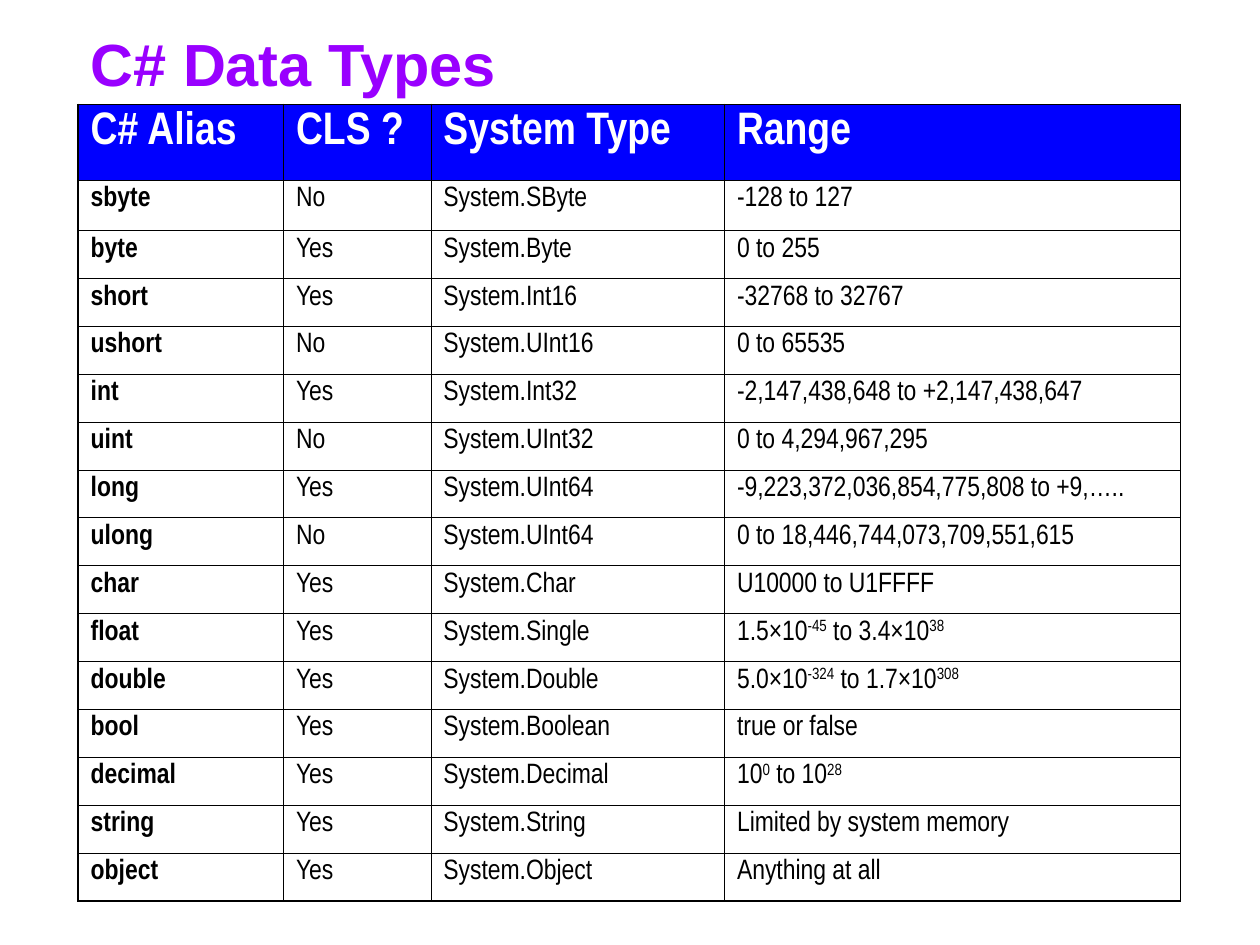
from pptx import Presentation
from pptx.dml.color import RGBColor
from pptx.enum.text import MSO_ANCHOR, MSO_AUTO_SIZE, PP_ALIGN
from pptx.oxml.ns import qn
from pptx.util import Inches, Pt
from lxml import etree

BOTTOM, LEFT, NO_FIT = MSO_ANCHOR.BOTTOM, PP_ALIGN.LEFT, MSO_AUTO_SIZE.NONE

# Content: text between carets is superscript
TITLE = "C# Data Types"
HEADER = ("C# Alias", "CLS ?", "System Type", "Range")
DATA_TYPES = [
    ("sbyte", "No", "System.SByte", "-128 to 127"),
    ("byte", "Yes", "System.Byte", "0 to 255"),
    ("short", "Yes", "System.Int16", "-32768 to 32767"),
    ("ushort", "No", "System.UInt16", "0 to 65535"),
    ("int", "Yes", "System.Int32", "-2,147,438,648 to +2,147,438,647"),
    ("uint", "No", "System.UInt32", "0 to 4,294,967,295"),
    ("long", "Yes", "System.UInt64", "-9,223,372,036,854,775,808 to +9,….."),
    ("ulong", "No", "System.UInt64", "0 to 18,446,744,073,709,551,615"),
    ("char", "Yes", "System.Char", "U10000 to U1FFFF"),
    ("float", "Yes", "System.Single", "1.5×10^-45^ to 3.4×10^38"),
    ("double", "Yes", "System.Double", "5.0×10^-324^ to 1.7×10^308"),
    ("bool", "Yes", "System.Boolean", "true or false"),
    ("decimal", "Yes", "System.Decimal", "10^0^ to 10^28"),
    ("string", "Yes", "System.String", "Limited by system memory"),
    ("object", "Yes", "System.Object", "Anything at all"),
]

# Layout in inches
MARGIN, TABLE_TOP, TITLE_HEIGHT = 0.62, 0.83, 0.5
COLUMN_WIDTHS = (1.63, 1.17, 2.33, 3.62)
ROW_HEIGHTS = [0.6, 0.4] + [0.38] * (len(DATA_TYPES) - 1)
THICK, THIN = 1.08, 0.45
PURPLE, BLUE, WHITE, BLACK = "9900FF", "0000FF", "FFFFFF", "000000"


def color(hex_string):
    return RGBColor.from_string(hex_string)


def style_font(font, name, size, hex_string, bold):
    font.name, font.size, font.bold = name, Pt(size), bold
    font.color.rgb = color(hex_string)


def set_borders(cell, widths):
    properties = cell._tc.get_or_add_tcPr()
    for index, (side, width) in enumerate(widths.items()):
        line = etree.Element(qn(f"a:{side}"), w=str(Pt(width)))
        fill = etree.SubElement(line, qn("a:solidFill"))
        etree.SubElement(fill, qn("a:srgbClr"), val=BLACK)
        properties.insert(index, line)


def write_cell(cell, text, size, hex_string, bold):
    paragraph = cell.text_frame.paragraphs[0]
    for index, part in enumerate(text.split("^")):
        run = paragraph.add_run()
        run.text = part
        style_font(run.font, "Arial Narrow", size, hex_string, bold)
        if index % 2:
            run.font._element.set("baseline", "30000")


presentation = Presentation()
presentation.slide_width, presentation.slide_height = Inches(10), Inches(7.5)
slide = presentation.slides.add_slide(presentation.slide_layouts[5])
table_width = sum(COLUMN_WIDTHS)

# Title
title = slide.shapes.title
title.left, title.top = Inches(MARGIN), Inches(TABLE_TOP - TITLE_HEIGHT)
title.width, title.height = Inches(table_width), Inches(TITLE_HEIGHT)
title.text_frame.text = TITLE
title.text_frame.auto_size = NO_FIT
title.text_frame.vertical_anchor = BOTTOM
title_paragraph = title.text_frame.paragraphs[0]
title_paragraph.alignment = LEFT
style_font(title_paragraph.runs[0].font, "Arial", 34, PURPLE, True)

# Table of data types
rows = [HEADER, *DATA_TYPES]
last_row, last_column = len(rows) - 1, len(HEADER) - 1
table = slide.shapes.add_table(
    len(rows), len(HEADER), Inches(MARGIN), Inches(TABLE_TOP),
    Inches(table_width), Inches(sum(ROW_HEIGHTS))).table
for column, width in zip(table.columns, COLUMN_WIDTHS):
    column.width = Inches(width)
for row, height in zip(table.rows, ROW_HEIGHTS):
    row.height = Inches(height)

for row_index, row in enumerate(rows):
    is_header = row_index == 0
    for column_index, text in enumerate(row):
        cell = table.cell(row_index, column_index)
        if is_header:
            cell.fill.solid()
            cell.fill.fore_color.rgb = color(BLUE)
            write_cell(cell, text, 26, WHITE, True)
        else:
            cell.fill.background()
            write_cell(cell, text, 16, BLACK, column_index == 0)
        set_borders(cell, {
            "lnL": THICK if column_index == 0 else THIN,
            "lnR": THICK if column_index == last_column else THIN,
            "lnT": THICK if is_header else THIN,
            "lnB": THICK if row_index == last_row else THIN,
        })

presentation.save("out.pptx")
